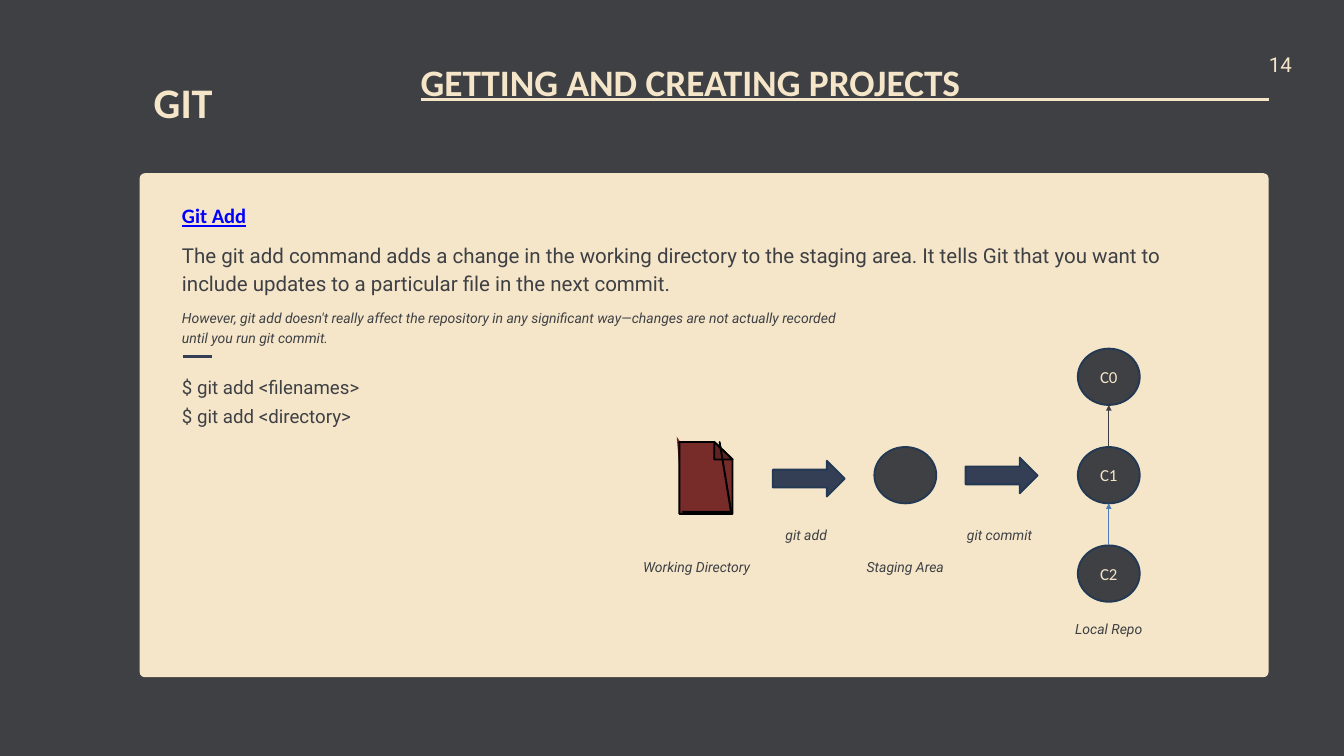
from dataclasses import dataclass

from lxml.etree import SubElement
from pptx import Presentation
from pptx.dml.color import RGBColor
from pptx.enum.shapes import MSO_CONNECTOR as Link, MSO_SHAPE as Preset
from pptx.enum.text import MSO_ANCHOR as Anchor, PP_ALIGN as Align
from pptx.oxml.ns import qn
from pptx.util import Cm, Pt


@dataclass(frozen=True)
class Theme:
    dark: str = "3E4044"
    cream: str = "F5E6CA"
    navy: str = "343F56"
    edge: str = "233953"
    link: str = "0000FF"
    blue: str = "4B7EBC"
    paper: str = "772C2A"
    fold: str = "5E2322"
    ink: str = "000000"
    head_font: str = "Calibri"
    body_font: str = "Roboto"
    brand: float = 45.1
    title: float = 40
    body: float = 22
    command: float = 20
    node: float = 18
    caption: float = 15


def rgb(code):
    return RGBColor.from_string(code)


class SlideBuilder:
    def __init__(self, page, theme):
        self.page = page
        self.theme = theme

    def background(self, color):
        fill = self.page.background.fill
        fill.solid()
        fill.fore_color.rgb = rgb(color)

    def paint(self, shape, fill=None, line=None, width=2):
        shape.shadow.inherit = False
        if fill:
            shape.fill.solid()
            shape.fill.fore_color.rgb = rgb(fill)
        else:
            shape.fill.background()
        if line:
            shape.line.color.rgb = rgb(line)
            shape.line.width = Pt(width)
        else:
            shape.line.fill.background()

    def style(self, para, size, color, font, bold=False, italic=False, underline=False):
        for span in para.runs:
            span.font.size = Pt(size)
            span.font.name = font
            span.font.color.rgb = rgb(color)
            span.font.bold = bold
            span.font.italic = italic
            span.font.underline = underline

    def text(self, words, left, top, width, height, size, color=None, font=None,
             align=Align.LEFT, **flags):
        box = self.page.shapes.add_textbox(Cm(left), Cm(top), Cm(width), Cm(height))
        frame = box.text_frame
        frame.word_wrap = True
        frame.margin_left = frame.margin_right = 0
        frame.margin_top = frame.margin_bottom = 0
        frame.text = words
        para = frame.paragraphs[0]
        para.alignment = align
        para.line_spacing = Pt(round(size * 1.4, 1))
        self.style(para, size, color or self.theme.dark,
                   font or self.theme.body_font, **flags)

    def caption(self, words, left, top, width, align=Align.LEFT):
        self.text(words, left, top, width, 0.69, self.theme.caption,
                  align=align, italic=True)

    def shape(self, preset, left, top, width, height, fill, line=None):
        shape = self.page.shapes.add_shape(
            preset, Cm(left), Cm(top), Cm(width), Cm(height))
        self.paint(shape, fill, line)
        return shape

    def node(self, left, top, label=""):
        theme = self.theme
        circle = self.shape(Preset.OVAL, left, top, NODE_W, NODE_H, theme.dark, theme.edge)
        if label:
            circle.text_frame.text = label
            circle.text_frame.vertical_anchor = Anchor.MIDDLE
            para = circle.text_frame.paragraphs[0]
            para.alignment = Align.CENTER
            self.style(para, theme.node, theme.cream, theme.head_font)

    def line(self, start, end, color, width, arrow=False):
        line = self.page.shapes.add_connector(
            Link.STRAIGHT, *(Cm(value) for value in (*start, *end)))
        line.line.color.rgb = rgb(color)
        line.line.width = Pt(width)
        properties = line.element.spPr
        if arrow:
            SubElement(properties.find(qn("a:ln")), qn("a:tailEnd"), type="triangle")
        SubElement(properties, qn("a:effectLst"))

    def polygon(self, points, fill=None, line=None):
        start, *rest = [(Cm(x), Cm(y)) for x, y in points]
        builder = self.page.shapes.build_freeform(*start, scale=1.0)
        builder.add_line_segments(rest, close=True)
        self.paint(builder.convert_to_shape(), fill, line)


NODE_W, NODE_H = 2.34, 2.13
NODE_STEP = 3.72
REPO_X, REPO_Y = 40.74, 13.18
TEXT_X = 6.88


def add_header(slide):
    theme = slide.theme
    heading = dict(color=theme.cream, font=theme.head_font, bold=True)
    slide.line((15.9, 3.76), (47.96, 3.76), theme.cream, 3)
    slide.text("GETTING AND CREATING PROJECTS", 15.9, 1.96, 32.03, 1.68,
               theme.title, **heading)
    slide.text("GIT", 5.26, 2.57, 3.33, 2.24, theme.brand, align=Align.CENTER, **heading)
    slide.text("14", 47.96, 1.8, 0.97, 1.02, theme.body, theme.cream)


def add_explanation(slide):
    theme = slide.theme
    slide.text("Git Add", TEXT_X, 7.52, 9.63, 0.94, theme.body, theme.link,
               theme.head_font, bold=True, underline=True)
    slide.text("The git add command adds a change in the working directory to the "
               "staging area. It tells Git that you want to include updates to a "
               "particular file in the next commit.",
               TEXT_X, 9.02, 39.04, 2.13, theme.body)
    slide.text("However, git add doesn't really affect the repository in any "
               "significant way—changes are not actually recorded until you run "
               "git commit.", TEXT_X, 11.61, 24.87, 1.45, theme.caption, italic=True)
    slide.line((6.93, 13.49), (8.03, 13.49), theme.navy, 3)
    for row, target in enumerate(("filenames", "directory")):
        slide.text(f"$ git add <{target}>", TEXT_X, 14.05 + row * 1.11, 9.63, 0.91,
                   theme.command, align=Align.JUSTIFY)


def add_document(slide):
    theme = slide.theme
    left, top, right, bottom = 25.68, 16.71, 27.69, 19.43
    fold_x, fold_y = 27.0, 17.37
    slide.polygon([(25.58, 16.51), (27.3, 19.1), (26.44, 18.36), (25.81, 19.35)],
                  theme.paper)
    slide.polygon([(left, top), (fold_x, top), (right, fold_y), (right, bottom),
                   (left, bottom)], theme.paper, theme.ink)
    slide.polygon([(fold_x, top), (fold_x, fold_y), (right, fold_y)],
                  theme.fold, theme.ink)
    slide.polygon([(27.64, 19.41), (27.2, 16.71), (27.64, 19.35), (25.81, 19.35)],
                  line=theme.ink)


def add_workflow(slide):
    theme = slide.theme
    add_document(slide)
    slide.node(33.05, REPO_Y + NODE_STEP, "")
    for left, top in ((29.21, 17.42), (36.5, 17.3)):
        slide.shape(Preset.RIGHT_ARROW, left, top, 2.72, 1.35, theme.navy, theme.edge)
    middle = REPO_X + NODE_W / 2
    for index, color in enumerate((None, theme.dark, theme.blue)):
        top = REPO_Y + index * NODE_STEP
        slide.node(REPO_X, top, f"C{index}")
        if color:
            parent_bottom = top - NODE_STEP + NODE_H
            slide.line((middle, top), (middle, parent_bottom), color, 0.75, arrow=True)
    slide.caption("Working Directory", 24.31, 21.01, 4.22)
    slide.caption("git add", 29.69, 19.81, 1.75)
    slide.caption("Staging Area", 32.11, 21.01, 4.22, Align.CENTER)
    slide.caption("git commit", 36.55, 19.81, 2.62)
    slide.caption("Local Repo", 39.8, 23.34, 4.22, Align.CENTER)


def main():
    deck = Presentation()
    deck.slide_width, deck.slide_height = Cm(50.8), Cm(28.58)
    slide = SlideBuilder(deck.slides.add_slide(deck.slide_layouts[6]), Theme())
    slide.background(slide.theme.dark)
    panel = slide.shape(Preset.ROUNDED_RECTANGLE, 5.28, 6.55, 42.67, 19.05,
                        slide.theme.cream)
    panel.adjustments[0] = 0.01
    add_header(slide)
    add_explanation(slide)
    add_workflow(slide)
    deck.save("out.pptx")


if __name__ == "__main__":
    main()
